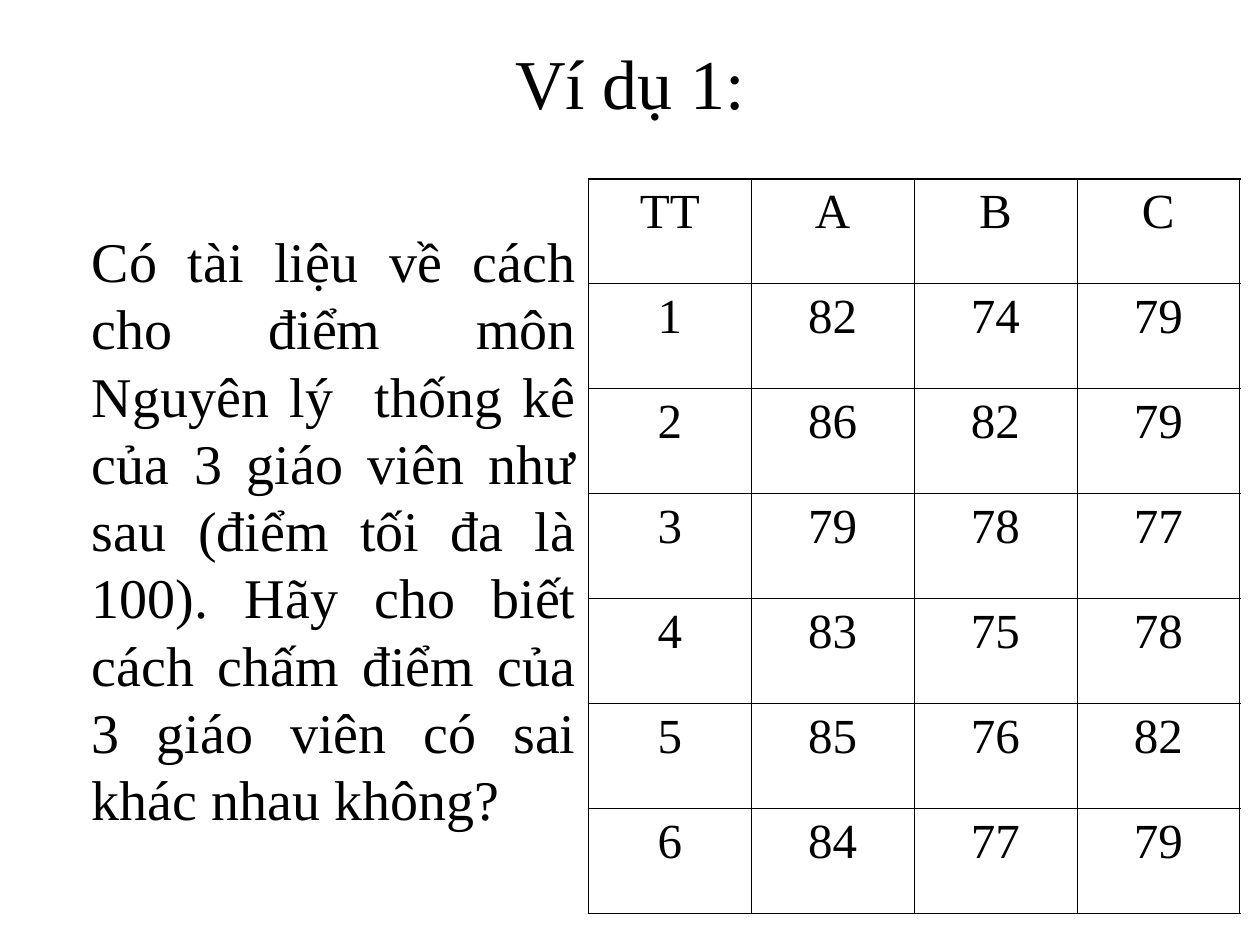
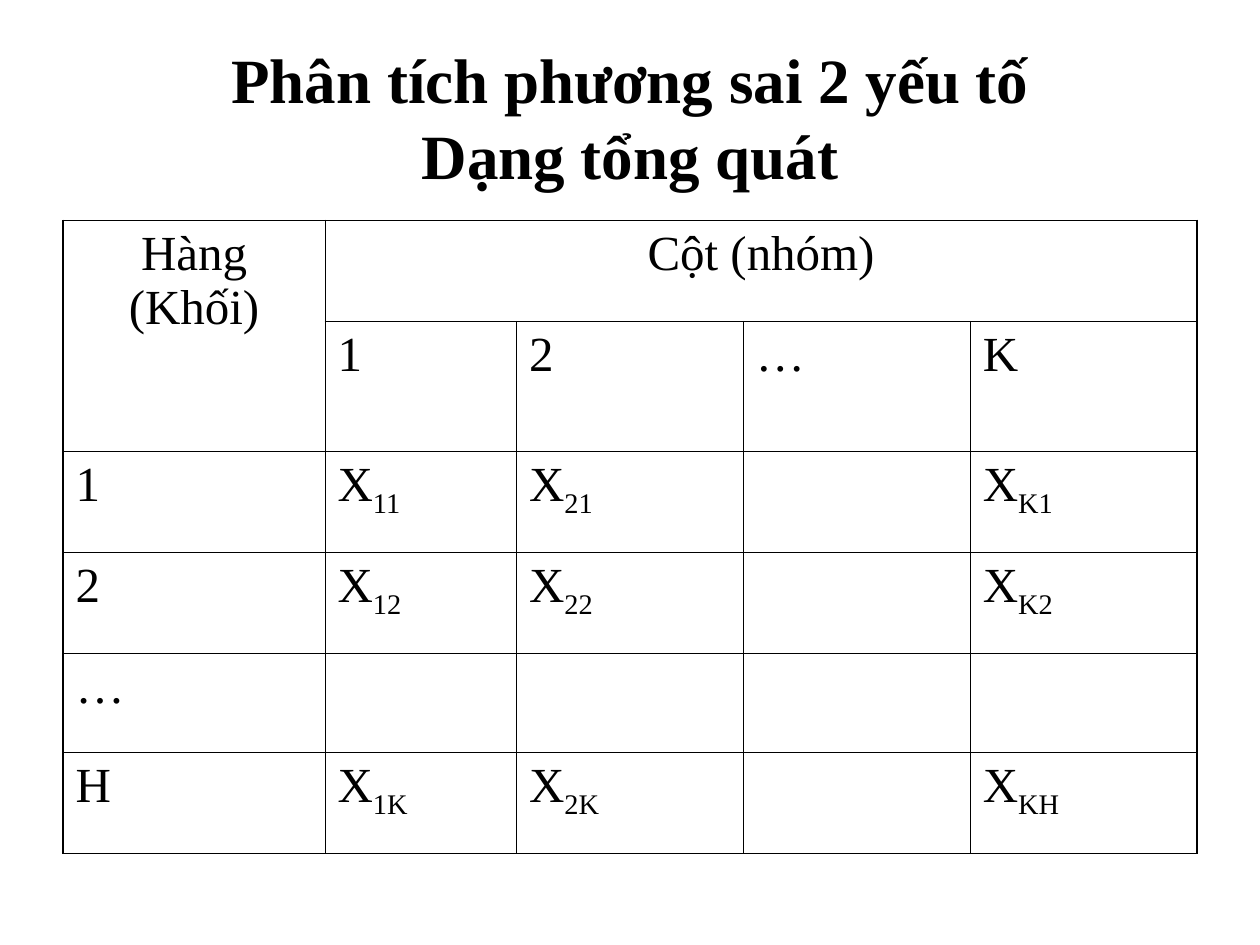
from lxml import etree
from pptx import Presentation
from pptx import util as u
from pptx.dml.color import RGBColor
from pptx.enum import text
from pptx.oxml import ns

FONT = "Times New Roman"
INK = "000000"
PAPER = "FFFFFF"
INNER_LINE, OUTER_LINE = 0.45, 1.08
TITLE_LEFT, TITLE_TOP, TITLE_WIDTH = 0.5, 0.3, 9
CENTER = text.PP_ALIGN.CENTER
LEFT = text.PP_ALIGN.LEFT
JUSTIFY = text.PP_ALIGN.JUSTIFY

EXAMPLE_TITLE = ["Ví dụ 1:"]
EXAMPLE_QUESTION = (
    "Có tài liệu về cách cho điểm môn Nguyên lý  thống kê của 3 giáo viên như sau "
    "(điểm tối đa là 100). Hãy cho biết cách chấm điểm của 3 giáo viên có sai khác "
    "nhau không?"
)
SCORES = [
    ["TT", "A", "B", "C"],
    ["1", "82", "74", "79"],
    ["2", "86", "82", "79"],
    ["3", "79", "78", "77"],
    ["4", "83", "75", "78"],
    ["5", "85", "76", "82"],
    ["6", "84", "77", "79"],
]

GENERAL_TITLE = ["Phân tích phương sai 2 yếu tố", "Dạng tổng quát"]
GENERAL_FORM = [
    ["Hàng (Khối)", "Cột (nhóm)", "", "", ""],
    ["", "1", "2", "…", "K"],
    ["1", "X_11", "X_21", "", "X_K1"],
    ["2", "X_12", "X_22", "", "X_K2"],
    ["…", "", "", "", ""],
    ["H", "X_1K", "X_2K", "", "X_KH"],
]
GENERAL_MERGES = [((0, 0), (1, 0)), ((0, 1), (0, 4))]
GENERAL_COLUMNS = [2.08, 1.52, 1.8, 1.8, 1.8]
GENERAL_ROWS = [0.8, 0.96, 0.8, 0.8, 0.79, 0.8]


def color(value):
    return RGBColor.from_string(value)


def add_run(paragraph, words, size, bold=False, subscript=False):
    run = paragraph.add_run()
    run.text = words
    run.font.name = FONT
    run.font.size = u.Pt(size)
    run.font.bold = bold
    run.font.color.rgb = color(INK)
    if subscript:
        run._r.get_or_add_rPr().set("baseline", "-25000")


def add_text_box(slide, left, top, width, height):
    shape = slide.shapes.add_textbox(*map(u.Inches, (left, top, width, height)))
    shape.text_frame.word_wrap = True
    return shape.text_frame


def add_slide(presentation, title_lines, title_height, title_size, bold=False):
    slide = presentation.slides.add_slide(presentation.slide_layouts[6])
    slide.background.fill.solid()
    slide.background.fill.fore_color.rgb = color(PAPER)
    frame = add_text_box(slide, TITLE_LEFT, TITLE_TOP, TITLE_WIDTH, title_height)
    frame.vertical_anchor = text.MSO_ANCHOR.MIDDLE
    paragraph = frame.paragraphs[0]
    paragraph.alignment = CENTER
    for index, line in enumerate(title_lines):
        if index:
            paragraph.add_line_break()
        add_run(paragraph, line, title_size, bold)
    return slide


def set_borders(cell, outer_sides):
    properties = cell._tc.get_or_add_tcPr()
    for index, side in enumerate("LRTB"):
        width = OUTER_LINE if side in outer_sides else INNER_LINE
        line = etree.Element(ns.qn(f"a:ln{side}"), w=str(u.Pt(width)))
        fill = etree.SubElement(line, ns.qn("a:solidFill"))
        etree.SubElement(fill, ns.qn("a:srgbClr"), val=INK)
        properties.insert(index, line)


def add_grid(slide, left, top, widths, heights, content, alignment_of, merges=()):
    rows, columns = len(heights), len(widths)
    frame = slide.shapes.add_table(
        rows, columns, *map(u.Inches, (left, top, sum(widths), sum(heights))))
    table = frame.table
    table.first_row = table.horz_banding = False
    for column, width in zip(table.columns, widths):
        column.width = u.Inches(width)
    for row, height in zip(table.rows, heights):
        row.height = u.Inches(height)
    for start, end in merges:
        table.cell(*start).merge(table.cell(*end))
    for row, values in enumerate(content):
        for column, value in enumerate(values):
            cell = table.cell(row, column)
            cell.fill.background()
            last_row, last_column = row, column
            if cell.is_merge_origin:
                last_row += cell.span_height - 1
                last_column += cell.span_width - 1
            at_edge = {"L": column == 0, "R": last_column == columns - 1,
                       "T": row == 0, "B": last_row == rows - 1}
            set_borders(cell, [side for side in at_edge if at_edge[side]])
            if value:
                paragraph = cell.text_frame.paragraphs[0]
                paragraph.alignment = alignment_of(row)
                paragraph.space_before = u.Pt(7)
                base, _, index = value.partition("_")
                add_run(paragraph, base, 28)
                if index:
                    add_run(paragraph, index, 28, subscript=True)


def build_example(presentation):
    slide = add_slide(presentation, EXAMPLE_TITLE, 0.7, 40)
    frame = add_text_box(slide, 0.25, 1.75, 4.42, 4.95)
    frame.margin_left = u.Inches(0.48)
    paragraph = frame.paragraphs[0]
    paragraph.alignment = JUSTIFY
    paragraph.space_before = u.Pt(8)
    add_run(paragraph, EXAMPLE_QUESTION, 32)
    rows, columns = len(SCORES), len(SCORES[0])
    add_grid(slide, 4.67, 1.42, [5.17 / columns] * columns, [5.83 / rows] * rows,
             SCORES, lambda row: CENTER)


def build_general_form(presentation):
    slide = add_slide(presentation, GENERAL_TITLE, 1.25, 36, bold=True)
    add_grid(slide, 0.5, 1.75, GENERAL_COLUMNS, GENERAL_ROWS, GENERAL_FORM,
             lambda row: LEFT if row else CENTER, GENERAL_MERGES)


def main():
    presentation = Presentation()
    presentation.slide_width = u.Inches(10)
    presentation.slide_height = u.Inches(7.5)
    build_example(presentation)
    build_general_form(presentation)
    presentation.save("out.pptx")


if __name__ == "__main__":
    main()
